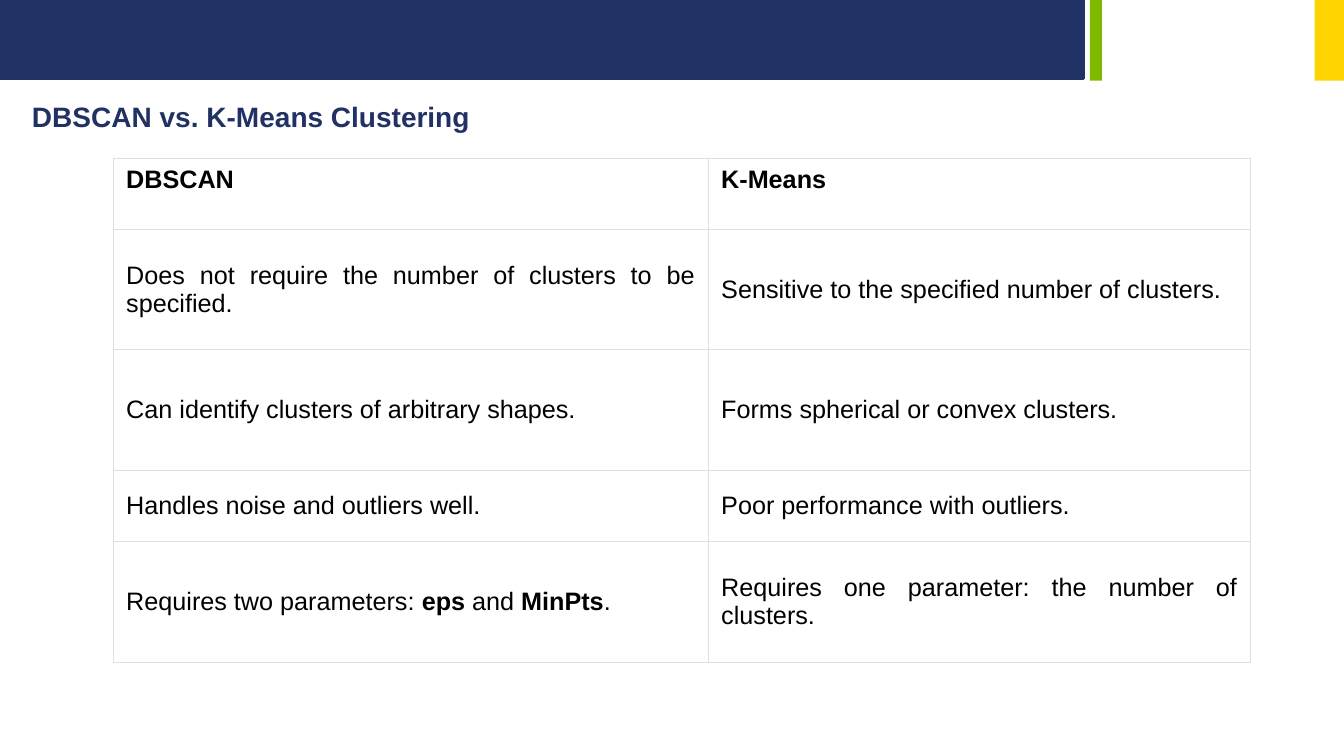
from dataclasses import dataclass

from lxml.etree import SubElement
from pptx import Presentation
from pptx.dml.color import RGBColor
from pptx.enum.shapes import MSO_SHAPE
from pptx.enum.text import MSO_ANCHOR, PP_ALIGN
from pptx.oxml.ns import qn
from pptx.util import Pt


@dataclass(frozen=True)
class Theme:
    font: str = "Arial"
    navy: str = "213264"
    green: str = "7FBA00"
    yellow: str = "FED500"
    heading: str = "213163"
    body: str = "000000"
    grid: str = "DFDFDF"
    heading_size: float = 20
    body_size: float = 18
    grid_width: float = 0.75


def write_text(paragraph, text, *, font, size, color, bold=False, align=None):
    """Append one formatted run to a paragraph."""
    paragraph.alignment = align
    run = paragraph.add_run()
    run.text = text
    run.font.name = font
    run.font.size = Pt(size)
    run.font.bold = bold
    run.font.color.rgb = RGBColor.from_string(color)


class SlideBuilder:
    def __init__(self, slide, theme):
        self.slide = slide
        self.theme = theme

    def bar(self, left, width, height, color, outline=None):
        band = self.slide.shapes.add_shape(
            MSO_SHAPE.RECTANGLE, Pt(left), Pt(0), Pt(width), Pt(height))
        band.shadow.inherit = False
        band.fill.solid()
        band.fill.fore_color.rgb = RGBColor.from_string(color)
        if outline:
            band.line.color.rgb = RGBColor.from_string(color)
            band.line.width = Pt(outline)
        else:
            band.line.fill.background()

    def heading(self, text, left, top, width, height):
        box = self.slide.shapes.add_textbox(Pt(left), Pt(top), Pt(width), Pt(height))
        box.text_frame.word_wrap = True
        write_text(box.text_frame.paragraphs[0], text, font=self.theme.font,
                   size=self.theme.heading_size, color=self.theme.heading, bold=True)

    def table(self, rows, left, top, widths, heights):
        grid = self.slide.shapes.add_table(
            len(rows), len(widths), Pt(left), Pt(top),
            Pt(sum(widths)), Pt(sum(heights))).table
        grid.horz_banding = False
        for column, width in zip(grid.columns, widths):
            column.width = Pt(width)
        for r, (row, height) in enumerate(zip(rows, heights)):
            grid.rows[r].height = Pt(height)
            for c, content in enumerate(row):
                self.cell(grid.cell(r, c), content, is_header=r == 0)

    def cell(self, cell, content, is_header):
        self.borders(cell)
        cell.fill.background()
        cell.margin_left = cell.margin_right = Pt(9.4)
        cell.margin_top = cell.margin_bottom = Pt(5)
        cell.vertical_anchor = MSO_ANCHOR.TOP if is_header else MSO_ANCHOR.MIDDLE
        # Every second piece between asterisks is bold
        for i, piece in enumerate(content.split("*")):
            write_text(cell.text_frame.paragraphs[0], piece, font=self.theme.font,
                       size=self.theme.body_size, color=self.theme.body,
                       bold=is_header or i % 2 == 1, align=PP_ALIGN.JUSTIFY)

    def borders(self, cell):
        properties = cell._tc.get_or_add_tcPr()
        for side in ("a:lnL", "a:lnR", "a:lnT", "a:lnB"):
            edge = SubElement(properties, qn(side), w=str(Pt(self.theme.grid_width)))
            fill = SubElement(edge, qn("a:solidFill"))
            SubElement(fill, qn("a:srgbClr"), val=self.theme.grid)


COMPARISON = [
    ("DBSCAN", "K-Means"),
    ("Does not require the number of clusters to be specified.",
     "Sensitive to the specified number of clusters."),
    ("Can identify clusters of arbitrary shapes.",
     "Forms spherical or convex clusters."),
    ("Handles noise and outliers well.", "Poor performance with outliers."),
    ("Requires two parameters: *eps* and *MinPts*.",
     "Requires one parameter: the number of clusters."),
]


def main():
    deck = Presentation()
    deck.slide_width, deck.slide_height = Pt(960), Pt(540)
    theme = Theme()
    page = SlideBuilder(deck.slides.add_slide(deck.slide_layouts[6]), theme)

    # Top band
    page.bar(0, 774, 56.2, theme.navy, outline=2)
    page.bar(778.5, 8.6, 57.6, theme.green)
    page.bar(939, 21, 57.6, theme.yellow)

    # Heading
    page.heading("DBSCAN vs. K-Means Clustering", 15.8, 67.7, 894, 60.5)

    # Comparison table
    short, tall = 50.6, 86.3
    page.table(COMPARISON, 80.8, 113, widths=(425, 387.3),
               heights=(short, tall, tall, short, tall))

    deck.save("out.pptx")


if __name__ == "__main__":
    main()
